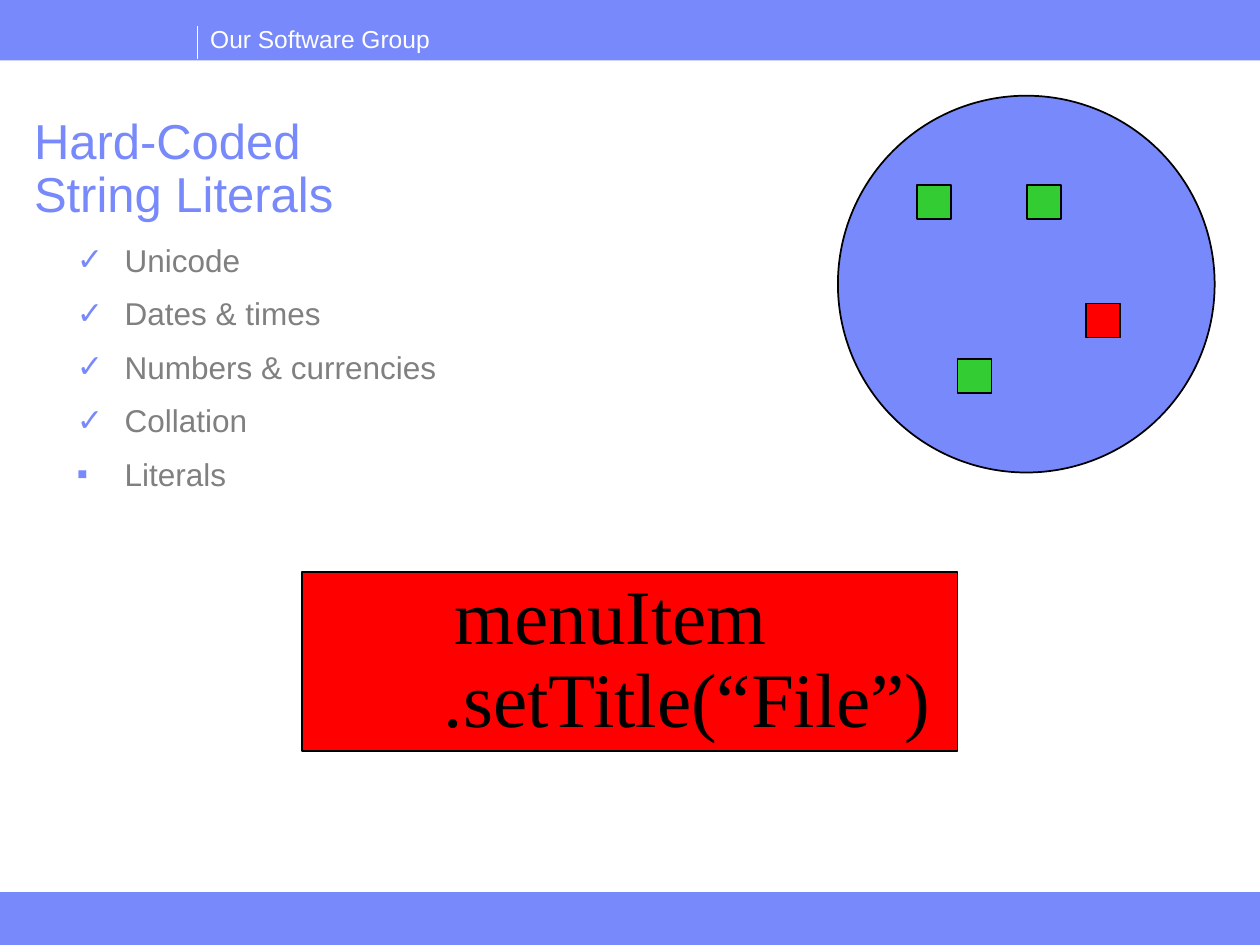
import pptx
import pptx.util
import pptx.dml.color
import pptx.enum.shapes
import pptx.enum.text
import pptx.oxml
import pptx.oxml.ns
import lxml.etree

GROUP = "Our Software Group"
TITLE = ["Hard-Coded", "String Literals"]
TOPICS = [
    ("✓", "Unicode"),
    ("✓", "Dates & times"),
    ("✓", "Numbers & currencies"),
    ("✓", "Collation"),
    ("▪", "Literals"),
]
CODE = [("menuItem", 1.11), ("      .setTitle(“File”)", None)]

THEME = {
    "blue": "7889FB", "green": "33CC33", "red": "FF0000",
    "white": "FFFFFF", "black": "000000", "gray": "808080",
    "sans": "Arial", "serif": "Times New Roman",
    "head": 14, "title": 28, "list": 18, "code": 44,
}

WIDE, HIGH = 10, 7.5
BANDS = [((0, 0, 100, 6.4), None), ((0, 94.4, 100, 5.6), 0.25)]
LABEL = (15.7, 1.87, 19.6, 4.53)
RULE = (15.7, 2.8, 6.27)
HEAD = (1.7, 11.73, 92.6, 12.53)
LIST = (5.1, 24.8, 32.3, 28.27)
DISC = (66.5, 10.13, 29.9, 39.87)
BOX = (24, 60.53, 52, 18.93)
TILE = (2.7, 3.6)
TILES = [
    (72.8, 19.6, "green"),
    (81.5, 19.6, "green"),
    (76, 38, "green"),
    (86.2, 32.13, "red"),
]

KIND = pptx.enum.shapes.MSO_SHAPE
ALIGN = pptx.enum.text.PP_ALIGN
ANCHOR = pptx.enum.text.MSO_ANCHOR
FIT = pptx.enum.text.MSO_AUTO_SIZE


def across(share):
    return pptx.util.Inches(WIDE * share / 100)


def down(share):
    return pptx.util.Inches(HIGH * share / 100)


def area(box):
    left, top, width, height = box
    return across(left), down(top), across(width), down(height)


def color(name):
    return pptx.dml.color.RGBColor.from_string(THEME[name])


def place(shape, box):
    shape.left, shape.top, shape.width, shape.height = area(box)


def draw(slide, kind, box, fill, line="black", weight=1):
    shape = slide.shapes.add_shape(kind, *area(box))
    shape.shadow.inherit = False
    shape.fill.solid()
    shape.fill.fore_color.rgb = color(fill)
    if weight:
        shape.line.color.rgb = color(line)
        shape.line.width = pptx.util.Pt(weight)
    else:
        shape.line.fill.background()
    return shape


def frame(shape, anchor=ANCHOR.TOP, wrap=True):
    text = shape.text_frame
    text.word_wrap = wrap
    text.auto_size = FIT.NONE
    text.vertical_anchor = anchor
    return text


def write(para, words, face, size, ink):
    run = para.add_run()
    run.text = words
    run.font.name = THEME[face]
    run.font.size = pptx.util.Pt(THEME[size])
    run.font.color.rgb = color(ink)


def rows(text, items):
    for spot, item in enumerate(items):
        para = text.paragraphs[0] if spot == 0 else text.add_paragraph()
        yield spot, para, item


def bullet(para, mark):
    props = para._p.get_or_add_pPr()
    indent = pptx.util.Inches(0.38)
    props.set("marL", str(indent))
    props.set("indent", str(-indent))
    name = pptx.oxml.ns.qn
    tint = lxml.etree.SubElement(props, name("a:buClr"))
    lxml.etree.SubElement(tint, name("a:srgbClr"), val=THEME["blue"])
    lxml.etree.SubElement(props, name("a:buFont"), typeface=THEME["sans"])
    lxml.etree.SubElement(props, name("a:buChar"), char=mark)


def banner(slide):
    for box, weight in BANDS:
        draw(slide, KIND.RECTANGLE, box, "blue", "blue", weight)
    label = frame(slide.shapes.add_textbox(*area(LABEL)), wrap=False)
    write(label.paragraphs[0], GROUP, "sans", "head", "white")
    left, top, end = RULE
    rule = slide.shapes.add_connector(
        pptx.enum.shapes.MSO_CONNECTOR.STRAIGHT,
        across(left), down(top), across(left), down(end))
    rule.line.color.rgb = color("white")
    rule.line.width = pptx.util.Pt(0.75)
    lxml.etree.SubElement(
        rule._element.spPr, pptx.oxml.ns.qn("a:effectLst"))


def title(slide):
    shape = slide.shapes.title
    place(shape, HEAD)
    para = frame(shape).paragraphs[0]
    para.alignment = ALIGN.LEFT
    para.line_spacing = 0.9
    for spot, words in enumerate(TITLE):
        if spot:
            para.add_line_break()
        write(para, words, "sans", "title", "blue")


def topics(slide):
    shape = slide.placeholders[1]
    place(shape, LIST)
    for spot, para, (mark, words) in rows(frame(shape), TOPICS):
        bullet(para, mark)
        para.space_before = pptx.util.Pt(5.6 if spot else 0)
        para.space_after = pptx.util.Pt(3.4)
        write(para, words, "sans", "list", "gray")


def disc(slide):
    draw(slide, KIND.OVAL, DISC, "blue")
    for left, top, fill in TILES:
        draw(slide, KIND.RECTANGLE, (left, top, *TILE), fill)


def code(slide):
    box = draw(slide, KIND.RECTANGLE, BOX, "red")
    for spot, para, (words, inset) in rows(frame(box, ANCHOR.MIDDLE), CODE):
        para.alignment = ALIGN.LEFT if inset else ALIGN.CENTER
        para.line_spacing = 0.9
        if inset:
            props = para._p.get_or_add_pPr()
            props.set("marL", str(pptx.util.Inches(inset)))
        write(para, words, "serif", "code", "black")


def main():
    deck = pptx.Presentation()
    deck.slide_width = pptx.util.Inches(WIDE)
    deck.slide_height = pptx.util.Inches(HIGH)
    slide = deck.slides.add_slide(deck.slide_layouts[1])
    for part in (banner, title, disc, code, topics):
        part(slide)
    deck.save("out.pptx")


if __name__ == "__main__":
    main()
